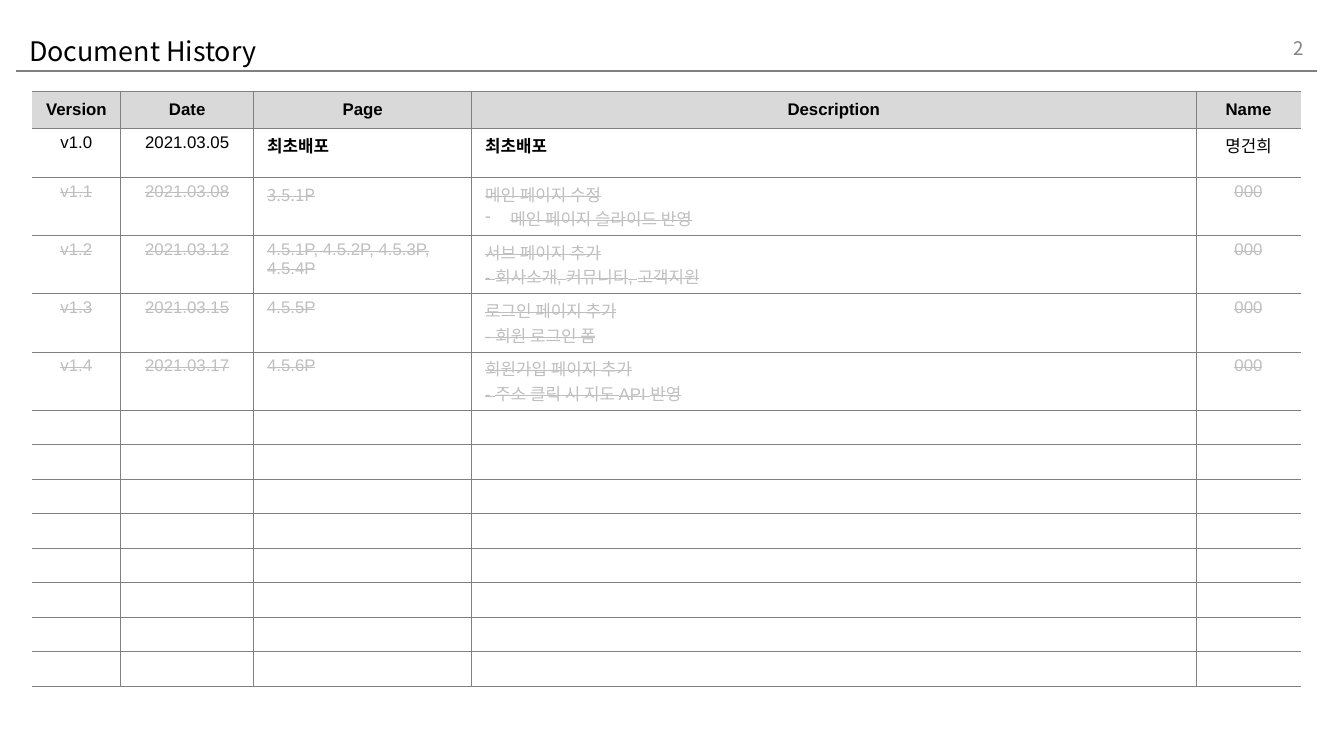
import lxml.etree
import pptx
import pptx.dml.color
import pptx.enum.shapes
import pptx.enum.text
import pptx.oxml.ns
import pptx.util

Pt = pptx.util.Pt
RGBColor = pptx.dml.color.RGBColor
ALIGN = pptx.enum.text.PP_ALIGN
ANCHOR = pptx.enum.text.MSO_ANCHOR
qn = pptx.oxml.ns.qn

BLACK = RGBColor(0x00, 0x00, 0x00)
GRAY = RGBColor(0x80, 0x80, 0x80)
FADED = RGBColor(0xBF, 0xBF, 0xBF)
HEADER_FILL = RGBColor(0xD9, 0xD9, 0xD9)
WHITE = RGBColor(0xFF, 0xFF, 0xFF)
KOREAN_FONT = "Noto Sans CJK KR"
TABLE_FONT = "Arial"

HISTORY = [
    ["Version", "Date", "Page", "Description", "Name"],
    ["v1.0", "2021.03.05", "최초배포", "최초배포", "명건희"],
    ["v1.1", "2021.03.08", "3.5.1P", "메인 페이지 수정\n메인 페이지 슬라이드 반영", "000"],
    ["v1.2", "2021.03.12", "4.5.1P, 4.5.2P, 4.5.3P, 4.5.4P",
     "서브 페이지 추가\n- 회사소개, 커뮤니티, 고객지원", "000"],
    ["v1.3", "2021.03.15", "4.5.5P", "로그인 페이지 추가\n- 회원 로그인 폼", "000"],
    ["v1.4", "2021.03.17", "4.5.6P", "회원가입 페이지 추가\n- 주소 클릭 시 지도 API 반영", "000"],
]
EMPTY_ROWS = 8
COLUMN_WIDTHS = [47.4, 71.3, 116.8, 387.9, 56.5]
ROW_HEIGHTS = [19.8, 26.2] + [31.2] * 4 + [18.5] * EMPTY_ROWS
PAGE_COLUMN, DESCRIPTION_COLUMN = 2, 3


def style_span(span, size, color, latin_font, bold=False):
    span.font.size = Pt(size)
    span.font.bold = bold
    span.font.color.rgb = color
    span.font.name = latin_font
    east_asian = lxml.etree.Element(qn("a:ea"), typeface=KOREAN_FONT)
    span.font._element.find(qn("a:latin")).addnext(east_asian)


def set_borders(cell, hidden_side):
    """Rule all four sides in gray, except the hidden one (if any)."""
    properties = cell._tc.get_or_add_tcPr()
    for index, side in enumerate(["lnL", "lnR", "lnT", "lnB"]):
        line = lxml.etree.Element(qn(f"a:{side}"), w=str(Pt(0.25)))
        if side == hidden_side:
            lxml.etree.SubElement(line, qn("a:noFill"))
        else:
            fill = lxml.etree.SubElement(line, qn("a:solidFill"))
            lxml.etree.SubElement(fill, qn("a:srgbClr"), val=str(GRAY))
        properties.insert(index, line)


deck = pptx.Presentation()
deck.slide_width, deck.slide_height = Pt(720), Pt(405)
page = deck.slides.add_slide(deck.slide_layouts[6])

rule = page.shapes.add_connector(
    pptx.enum.shapes.MSO_CONNECTOR.STRAIGHT, Pt(8.6), Pt(38.2), Pt(705.6), Pt(38.2))
rule.line.color.rgb = GRAY
rule.line.width = Pt(1)
lxml.etree.SubElement(rule._element.spPr, qn("a:effectLst"))

for text, left, top, width, size, color, align in [
    ("Document History", 8.6, 16.6, 578.2, 14.4, BLACK, ALIGN.LEFT),
    ("2", 662.4, 15.1, 43.2, 10, GRAY, ALIGN.RIGHT),
]:
    box = page.shapes.add_textbox(Pt(left), Pt(top), Pt(width), Pt(21.6))
    box.text_frame.word_wrap = True
    box.text_frame.vertical_anchor = ANCHOR.MIDDLE
    box.text_frame.text = text
    para = box.text_frame.paragraphs[0]
    para.alignment = align
    style_span(para.runs[0], size, color, KOREAN_FONT)

frame = page.shapes.add_table(
    len(ROW_HEIGHTS), len(COLUMN_WIDTHS), Pt(17.2), Pt(48.9),
    Pt(sum(COLUMN_WIDTHS)), Pt(sum(ROW_HEIGHTS)))
table = frame.table
table.first_row = table.horz_banding = False
for column, width in zip(table.columns, COLUMN_WIDTHS):
    column.width = Pt(width)
for row, height in zip(table.rows, ROW_HEIGHTS):
    row.height = Pt(height)

last_column = len(COLUMN_WIDTHS) - 1
for row_index, row in enumerate(table.rows):
    is_header = row_index == 0
    is_struck = row_index >= 2
    for column_index, cell in enumerate(row.cells):
        centered = is_header or column_index not in (PAGE_COLUMN, DESCRIPTION_COLUMN)
        bold = is_header or (row_index == 1 and not centered)
        cell.fill.solid()
        cell.fill.fore_color.rgb = HEADER_FILL if is_header else WHITE
        set_borders(cell, {0: "lnL", last_column: "lnR"}.get(column_index))
        cell.margin_left = cell.margin_right = Pt(7.2)
        cell.margin_top = cell.margin_bottom = Pt(2.6)
        cell.vertical_anchor = ANCHOR.MIDDLE if is_header else ANCHOR.TOP
        if row_index >= len(HISTORY):
            # Keeps the empty line from stretching the row.
            lxml.etree.SubElement(
                cell.text_frame.paragraphs[0]._p, qn("a:endParaRPr"), sz="900")
            continue
        cell.text_frame.text = HISTORY[row_index][column_index]
        for para in cell.text_frame.paragraphs:
            para.alignment = ALIGN.CENTER if centered else ALIGN.LEFT
            for span in para.runs:
                font = KOREAN_FONT if span.text == "3.5.1P" else TABLE_FONT
                style_span(span, 9, FADED if is_struck else BLACK, font, bold)
                if is_struck:
                    span.font._element.set("strike", "sngStrike")

bulleted = table.cell(2, DESCRIPTION_COLUMN).text_frame.paragraphs[1]
bullet_properties = bulleted._p.get_or_add_pPr()
bullet_properties.set("marL", str(Pt(13.5)))
bullet_properties.set("indent", str(Pt(-13.5)))
lxml.etree.SubElement(bullet_properties, qn("a:buFontTx"))
lxml.etree.SubElement(bullet_properties, qn("a:buChar"), char="-")

deck.save("out.pptx")
